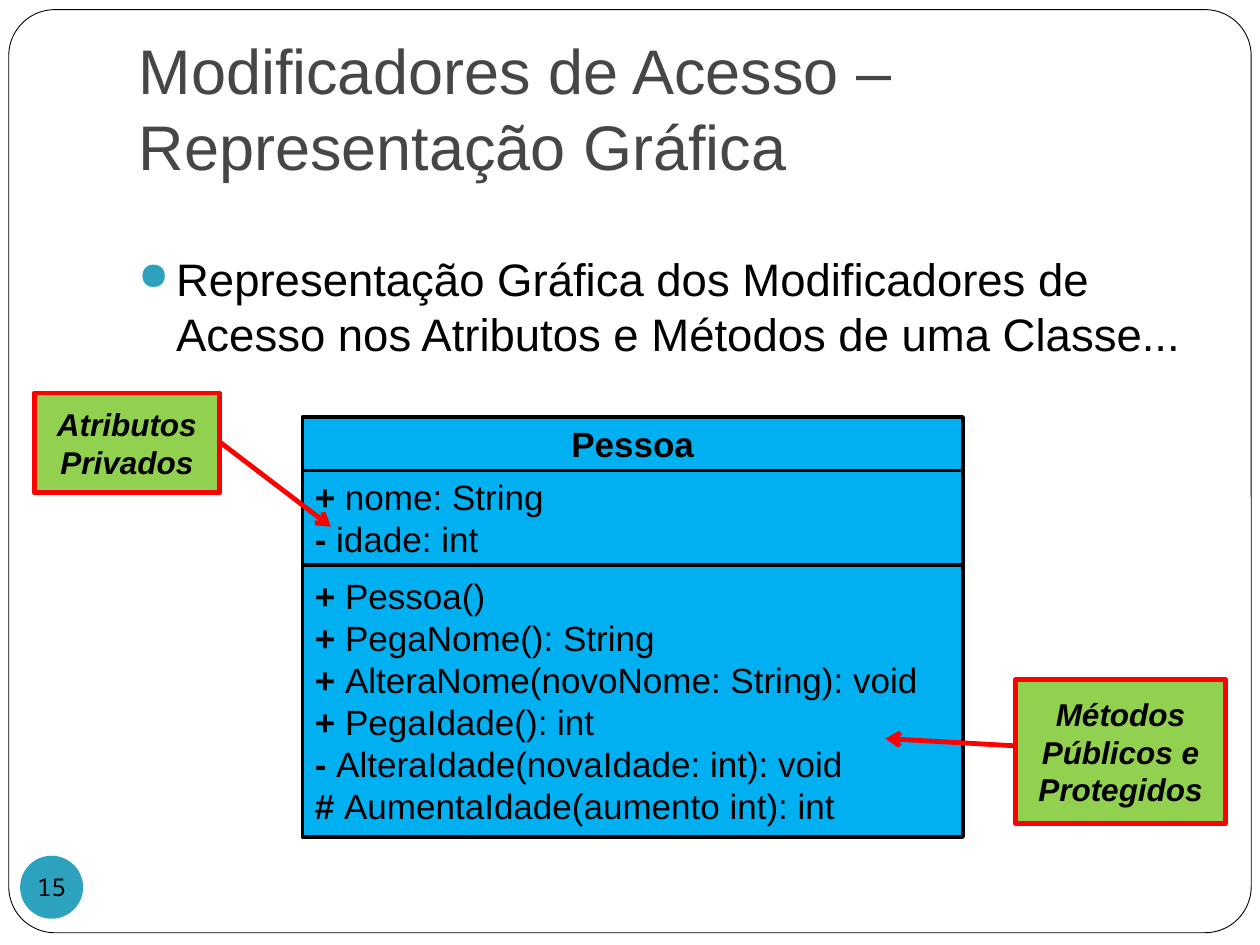
from lxml import etree
from pptx import Presentation
from pptx.dml.color import RGBColor
from pptx.enum import shapes, text
from pptx.oxml import ns
from pptx.util import Pt

COLORS = {"white": "FFFFFF", "black": "000000", "title": "464646", "teal": "2DA2BF",
          "class": "00B0F0", "callout": "92D050", "red": "FF0000"}
FONT = "Arial"
ATTRIBUTES = [("+", " nome: String"), ("-", " idade: int")]
METHODS = [("+ ", "Pessoa()"), ("+ ", "PegaNome(): String"),
           ("+ ", "AlteraNome(novoNome: String): void"), ("+ ", "PegaIdade(): int"),
           ("- ", "AlteraIdade(novaIdade: int): void"),
           ("# ", "AumentaIdade(aumento int): int")]


def color(name):
    return RGBColor.from_string(COLORS[name])


def add_shape(parent, kind, box, fill, line=None, width=0):
    shape = parent.add_shape(kind, *map(Pt, box))
    shape.shadow.inherit = False
    shape.fill.solid()
    shape.fill.fore_color.rgb = color(fill)
    if line:
        shape.line.color.rgb = color(line)
        shape.line.width = Pt(width)
    else:
        shape.line.fill.background()
    return shape


def format_run(run, size, name="black", font=FONT, bold=False, italic=False):
    run.font.name = font
    run.font.size = Pt(size)
    run.font.color.rgb = color(name)
    run.font.bold = bold
    run.font.italic = italic


def write_lines(shape, lines, size, align, **style):
    """Each line is a tuple of runs; in a pair the first run is bold."""
    frame = shape.text_frame
    frame.vertical_anchor = text.MSO_ANCHOR.MIDDLE
    for index, parts in enumerate(lines):
        paragraph = frame.add_paragraph() if index else frame.paragraphs[0]
        paragraph.alignment = align
        for position, part in enumerate(parts):
            run = paragraph.add_run()
            run.text = part
            format_run(run, size, **style)
            if len(parts) == 2:
                run.font.bold = position == 0


def add_frame(slide, box):
    frame = add_shape(slide.shapes, shapes.MSO_SHAPE.ROUNDED_RECTANGLE, box,
                      "white", "black", 0.5)
    frame.adjustments[0] = 0.05
    slide.shapes.title._element.addprevious(frame._element)


def add_title(slide, box, wording):
    title = slide.shapes.title
    title.left, title.top, title.width, title.height = map(Pt, box)
    frame = title.text_frame
    frame.text = wording
    frame.auto_size = text.MSO_AUTO_SIZE.NONE
    frame.vertical_anchor = text.MSO_ANCHOR.BOTTOM
    frame.margin_bottom = Pt(7.2)
    frame.paragraphs[0].alignment = text.PP_ALIGN.LEFT
    format_run(frame.paragraphs[0].runs[0], 36, "title")


def add_body(slide, box, wording):
    frame = slide.shapes.add_textbox(*map(Pt, box)).text_frame
    frame.word_wrap = True
    frame.text = wording
    paragraph = frame.paragraphs[0]
    format_run(paragraph.runs[0], 26)
    # Hanging bullet
    properties = paragraph._p.get_or_add_pPr()
    properties.set("marL", str(Pt(21.6)))
    properties.set("indent", str(-Pt(21.6)))
    bullet_color = etree.SubElement(properties, ns.qn("a:buClr"))
    etree.SubElement(bullet_color, ns.qn("a:srgbClr"), val=COLORS["teal"])
    etree.SubElement(properties, ns.qn("a:buSzPct"), val="85000")
    etree.SubElement(properties, ns.qn("a:buChar"), char="●")


def add_class_diagram(slide, box):
    left, top, width, height = box
    group = slide.shapes.add_group_shape()
    left_align, center = text.PP_ALIGN.LEFT, text.PP_ALIGN.CENTER
    name_height, attributes_height = 30.5, 54
    sections = [(name_height, [("Pessoa",)], center, True),
                (attributes_height, ATTRIBUTES, left_align, False),
                (height - name_height - attributes_height, METHODS, left_align, False)]
    for section_height, lines, align, bold in sections:
        section = add_shape(group.shapes, shapes.MSO_SHAPE.RECTANGLE,
                            (left, top, width, section_height), "class", "black", 2)
        write_lines(section, lines, 20, align, bold=bold)
        top += section_height


def add_callout(slide, box, lines, pointer):
    callout = add_shape(slide.shapes, shapes.MSO_SHAPE.LINE_CALLOUT_1, box,
                        "callout", "red", 2.75)
    for index, value in enumerate(pointer):
        callout.adjustments[index] = value
    etree.SubElement(callout.line._get_or_add_ln(), ns.qn("a:tailEnd"), type="arrow")
    callout.text_frame.word_wrap = False
    write_lines(callout, [(line,) for line in lines], 18, text.PP_ALIGN.CENTER,
                bold=True, italic=True)


def add_page_number(slide, box, number):
    badge = add_shape(slide.shapes, shapes.MSO_SHAPE.OVAL, box, "teal")
    frame = badge.text_frame
    frame.word_wrap = False
    frame.margin_left = frame.margin_right = frame.margin_top = frame.margin_bottom = 0
    write_lines(badge, [(number,)], 14, text.PP_ALIGN.CENTER, font="Noto Sans Mono")


def main():
    presentation = Presentation()
    presentation.slide_width, presentation.slide_height = Pt(720), Pt(540)
    slide = presentation.slides.add_slide(presentation.slide_layouts[5])

    add_frame(slide, (5, 5.5, 710, 527.5))
    add_title(slide, (72, 21.6, 612, 90), "Modificadores de Acesso – Representação Gráfica")
    add_class_diagram(slide, (172.8, 238.3, 377.5, 240))
    # Callouts pointing into the class; pointer is y, x of start and of tip
    add_callout(slide, (19.5, 224.6, 106, 57), ["Atributos", "Privados"],
                (0.49, 1, 1.34, 1.6))
    add_callout(slide, (580.3, 388.3, 120, 82.3), ["Métodos", "Públicos e", "Protegidos"],
                (0.46, -0.01, 0.41, -0.62))
    add_page_number(slide, (11.5, 489, 36, 36), "15")
    add_body(slide, (72, 140, 612, 330),
             "Representação Gráfica dos Modificadores de Acesso nos Atributos "
             "e Métodos de uma Classe...")
    presentation.save("out.pptx")


if __name__ == "__main__":
    main()
